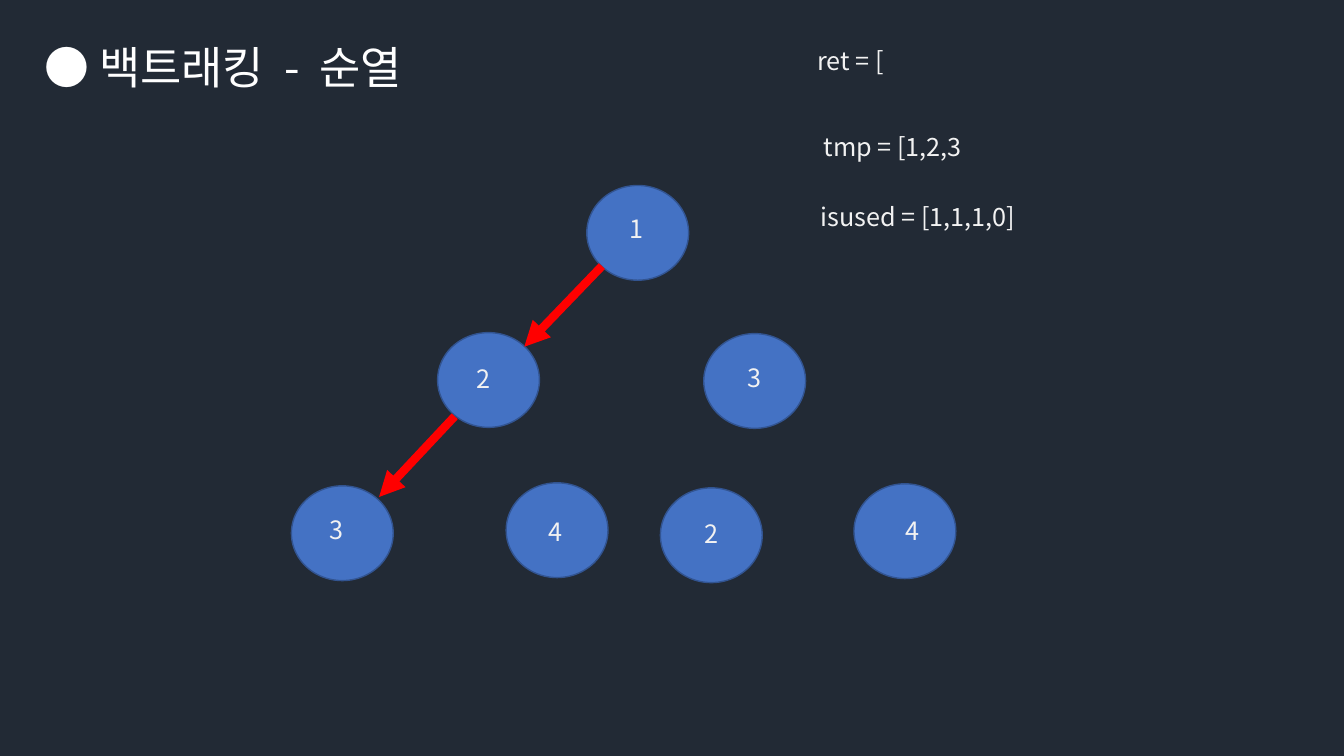
from lxml.etree import SubElement
from pptx import Presentation
from pptx.dml.color import RGBColor
from pptx.enum.shapes import MSO_CONNECTOR, MSO_SHAPE
from pptx.enum.text import MSO_ANCHOR, MSO_AUTO_SIZE, PP_ALIGN
from pptx.oxml.ns import qn
from pptx.util import Inches, Pt

FONT = "Noto Sans CJK KR"
COLORS = {
    "background": "222A35", "node": "4472C4", "outline": "325491",
    "arrow": "FF0000", "title": "FFFFFF", "text": "F2F2F2",
}

# Title pieces with extra letter spacing in hundredths of a point
TITLE = [("● 백트래킹", 0), (" ", 700), ("-", 0), (" ", 700), ("순열", 0)]
# Node position, then label text and position
NODES = [
    ((5.82, 1.84), "1", (6.15, 2.07)),
    ((4.34, 3.3), "2", (4.63, 3.56)),
    ((2.89, 4.82), "3", (3.17, 5.05)),
    ((6.98, 3.31), "3", (7.32, 3.55)),
    ((5.02, 4.79), "4", (5.34, 5.07)),
    ((6.55, 4.84), "2", (6.89, 5.09)),
    ((8.47, 4.8), "4", (8.88, 5.06)),
]
ARROWS = [((5.97, 2.64), (5.2, 3.44)), ((4.51, 4.13), (3.76, 4.93))]
STATE = [
    ("ret = [", (8.01, 0.4)),
    ("tmp = [1,2,3", (8.07, 1.25)),
    ("isused = [1,1,1,0]", (8.04, 1.95)),
]
NODE_SIZE = (1.01, 0.94)
LABEL_SIZE = (0.66, 0.4)
STATE_SIZE = (4.39, 0.4)


def color(name):
    return RGBColor.from_string(COLORS[name])


def inches(*lengths):
    return [Inches(length) for length in lengths]


def set_font(para, size, color_name):
    para.font.size = Pt(size)
    para.font.name = FONT
    para.font.color.rgb = color(color_name)


def set_east_asian_font(span):
    SubElement(span.font._element, qn("a:ea")).set("typeface", FONT)


def add_title(page):
    title = page.shapes.title
    title.left, title.top, title.width, title.height = inches(0.34, 0.34, 4.08, 0.64)
    frame = title.text_frame
    frame.word_wrap = False
    frame.auto_size = MSO_AUTO_SIZE.NONE
    frame.vertical_anchor = MSO_ANCHOR.TOP
    para = frame.paragraphs[0]
    para.alignment = PP_ALIGN.LEFT
    set_font(para, 32, "title")
    for text, spacing in TITLE:
        span = para.add_run()
        span.text = text
        set_east_asian_font(span)
        if spacing:
            span.font._element.set("spc", str(spacing))


def add_node(page, position):
    node = page.shapes.add_shape(MSO_SHAPE.OVAL, *inches(*position, *NODE_SIZE))
    node.shadow.inherit = False
    node.fill.solid()
    node.fill.fore_color.rgb = color("node")
    node.line.color.rgb = color("outline")
    node.line.width = Pt(1)


def add_arrow(page, start, end):
    arrow = page.shapes.add_connector(MSO_CONNECTOR.STRAIGHT, *inches(*start, *end))
    arrow.line.color.rgb = color("arrow")
    arrow.line.width = Pt(6)
    SubElement(arrow.line._get_or_add_ln(), qn("a:tailEnd")).set("type", "triangle")
    SubElement(arrow._element.spPr, qn("a:effectLst"))


def add_text(page, text, position, size):
    box = page.shapes.add_textbox(*inches(*position, *size))
    box.text_frame.word_wrap = True
    para = box.text_frame.paragraphs[0]
    para.text = text
    set_font(para, 18, "text")
    set_east_asian_font(para.runs[0])


def main():
    deck = Presentation()
    deck.slide_width, deck.slide_height = inches(13.33, 7.5)
    page = deck.slides.add_slide(deck.slide_layouts[5])
    page.background.fill.solid()
    page.background.fill.fore_color.rgb = color("background")

    add_title(page)
    for position, _, _ in NODES:
        add_node(page, position)
    for start, end in ARROWS:
        add_arrow(page, start, end)
    for _, label, position in NODES:
        add_text(page, label, position, LABEL_SIZE)
    for text, position in STATE:
        add_text(page, text, position, STATE_SIZE)
    deck.save("out.pptx")


if __name__ == "__main__":
    main()
